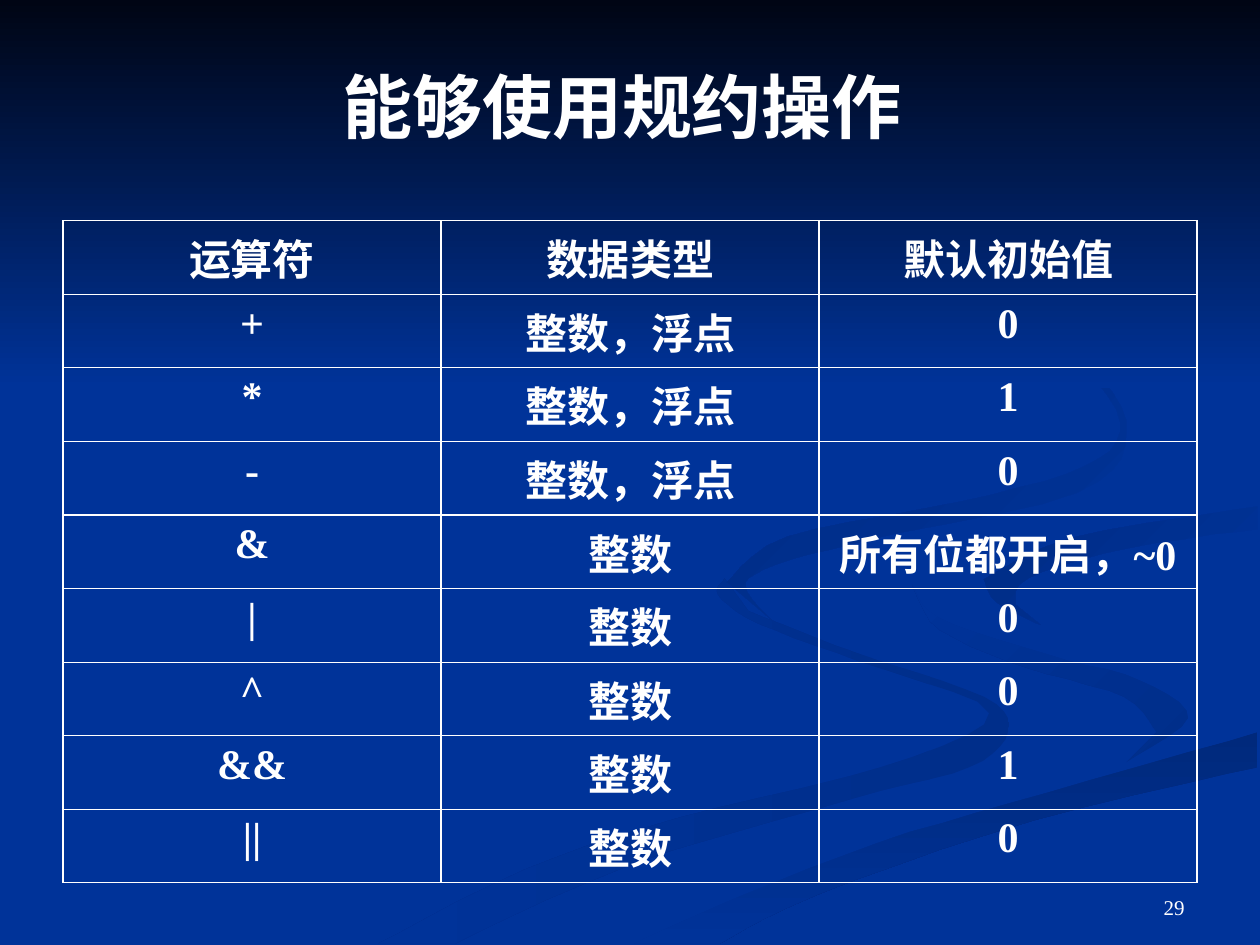
from dataclasses import dataclass

import pptx
import pptx.dml.color
import pptx.dml.fill
import pptx.enum.shapes
import pptx.enum.text
import pptx.oxml
import pptx.oxml.ns
import pptx.shapes.autoshape
import pptx.shapes.base
import pptx.slide
import pptx.table
import pptx.text.text
import pptx.util

Cm = pptx.util.Cm
RGBColor = pptx.dml.color.RGBColor
Align = pptx.enum.text.PP_ALIGN
Anchor = pptx.enum.text.MSO_ANCHOR
Edge = list[tuple[int, int]]

WHITE = RGBColor(0xFF, 0xFF, 0xFF)
BLUE = RGBColor(0x00, 0x33, 0x99)
NIGHT = RGBColor(0x00, 0x05, 0x14)
SHADE_SOFT = RGBColor(0x00, 0x2E, 0x8A)
SHADE_DEEP = RGBColor(0x00, 0x29, 0x7C)
SHADE_EDGE = RGBColor(0x00, 0x2C, 0x85)
SHADE_LOOP = RGBColor(0x00, 0x2B, 0x81)
FONT = "Times New Roman"
OUTLINE_UNIT = Cm(0.0254)
CURVE_STEPS = 5
HANGING = Cm(0.95)


@dataclass
class Ribbon:
    start_color: RGBColor
    end_color: RGBColor
    angle: int
    edges: list[Edge]


BEND_RIGHT = [(724, 464), (745, 490), (831, 519), (905, 540), (943, 570), (894, 605)]
SWEEP_TOP = [(503, 749), (569, 719), (696, 669), (831, 629), (998, 581)]

RIBBONS = [
    Ribbon(SHADE_SOFT, BLUE, 180, [
        [(300, 749), (417, 690), (539, 649), (699, 609), (785, 566), (682, 525), (602, 495),
         (570, 472), (575, 459)],
        [(594, 485), (682, 519), (781, 553), (800, 581), (769, 609), (676, 634), (499, 687),
         (361, 749)]]),
    Ribbon(SHADE_SOFT, BLUE, 135, [
        BEND_RIGHT, [(918, 581), (892, 553), (815, 530), (746, 500), (724, 464)]]),
    Ribbon(SHADE_DEEP, BLUE, 270, [
        SWEEP_TOP, [(998, 609), (821, 651), (649, 710), (571, 749)]]),
    Ribbon(BLUE, BLUE, 0, [
        BEND_RIGHT, [(743, 643), (619, 684), (477, 749)], SWEEP_TOP,
        [(998, 538), (866, 509), (786, 473), (786, 453), (850, 427), (998, 402)],
        [(998, 387), (874, 408), (755, 432), (724, 464)]]),
    Ribbon(BLUE, SHADE_EDGE, 135, [
        [(781, 460), (791, 478), (826, 496)],
        [(806, 480), (816, 459), (896, 435), (998, 420)],
        [(998, 402), (850, 427), (781, 460)]]),
    Ribbon(BLUE, SHADE_LOOP, 135, [
        [(762, 233), (864, 291), (894, 344), (855, 391), (683, 430), (606, 452), (593, 470),
         (622, 500)],
        [(577, 462), (625, 426), (763, 398), (861, 370), (889, 335), (846, 279), (762, 233)]]),
]

OPERATOR_ROWS = [
    ("运算符", "数据类型", "默认初始值"),
    ("+", "整数，浮点", "0"),
    ("*", "整数，浮点", "1"),
    ("-", "整数，浮点", "0"),
    ("&", "整数", "所有位都开启，~0"),
    ("|", "整数", "0"),
    ("^", "整数", "0"),
    ("&&", "整数", "1"),
    ("||", "整数", "0"),
]


def blend(before: int, start: int, end: int, after: int, t: float) -> int:
    bend = 2 * before - 5 * start + 4 * end - after
    twist = 3 * (start - end) + after - before
    return round(start + ((end - before) * t + bend * t ** 2 + twist * t ** 3) / 2)


def smooth_edge(edge: Edge) -> Edge:
    padded = [edge[0], *edge, edge[-1]]
    curve = []
    for corners in zip(padded, padded[1:], padded[2:], padded[3:]):
        across, down = zip(*corners)
        for step in range(CURVE_STEPS):
            t = step / CURVE_STEPS
            curve.append((blend(*across, t), blend(*down, t)))
    return [*curve, edge[-1]]


def fill_gradient(fill: pptx.dml.fill.FillFormat, start: RGBColor, end: RGBColor, angle: int) -> None:
    fill.gradient()
    fill.gradient_angle = angle
    for stop, color in zip(fill.gradient_stops, (start, end)):
        stop.color.rgb = color


def clear_outline(shape: pptx.shapes.autoshape.Shape) -> None:
    shape.shadow.inherit = False
    shape.line.fill.background()


def draw_ribbon(slide: pptx.slide.Slide, ribbon: Ribbon) -> None:
    first, *others = [point for edge in ribbon.edges for point in smooth_edge(edge)]
    builder = slide.shapes.build_freeform(*first, scale=OUTLINE_UNIT)
    builder.add_line_segments(others, close=True)
    shape = builder.convert_to_shape()
    clear_outline(shape)
    if ribbon.start_color == ribbon.end_color:
        shape.fill.solid()
        shape.fill.fore_color.rgb = ribbon.start_color
    else:
        fill_gradient(shape.fill, ribbon.start_color, ribbon.end_color, ribbon.angle)


def write_text(frame: pptx.text.text.TextFrame, text: str, size: int, bold: bool, align: Align) -> None:
    frame.text = text
    paragraph = frame.paragraphs[0]
    paragraph.alignment = align
    for run in paragraph.runs:
        run.font.name = FONT
        run.font.size = pptx.util.Pt(size)
        run.font.bold = bold
        run.font.color.rgb = WHITE


def place(shape: pptx.shapes.base.BaseShape, left: float, top: float, width: float, height: float) -> None:
    shape.left, shape.top, shape.width, shape.height = Cm(left), Cm(top), Cm(width), Cm(height)


def format_cell(cell: pptx.table._Cell, text: str) -> None:
    write_text(cell.text_frame, text, 24, True, Align.CENTER)
    properties = cell.text_frame.paragraphs[0]._p.get_or_add_pPr()
    properties.set("marL", str(HANGING))
    properties.set("indent", str(-HANGING))
    namespace = pptx.oxml.ns.nsdecls("a")
    for side in ("lnL", "lnR", "lnT", "lnB"):
        cell._tc.get_or_add_tcPr().append(pptx.oxml.parse_xml(
            f'<a:{side} {namespace} w="{pptx.util.Pt(0.75)}"><a:solidFill>'
            f'<a:srgbClr val="{WHITE}"/></a:solidFill></a:{side}>'))
    cell.fill.background()


def add_operator_table(slide: pptx.slide.Slide) -> None:
    frame = slide.shapes.add_table(
        len(OPERATOR_ROWS), len(OPERATOR_ROWS[0]), Cm(1.27), Cm(4.45), Cm(22.86), Cm(12.67))
    table = frame.table
    table.first_row = False
    table.horz_banding = False
    for row, texts in zip(table.rows, OPERATOR_ROWS):
        for cell, text in zip(row.cells, texts):
            format_cell(cell, text)


def main() -> None:
    presentation = pptx.Presentation()
    presentation.slide_width, presentation.slide_height = Cm(25.4), Cm(19.05)
    slide = presentation.slides.add_slide(presentation.slide_layouts[5])
    slide.background.fill.solid()
    slide.background.fill.fore_color.rgb = BLUE

    for ribbon in RIBBONS:
        draw_ribbon(slide, ribbon)
    sky = slide.shapes.add_shape(
        pptx.enum.shapes.MSO_SHAPE.RECTANGLE, 0, 0, presentation.slide_width, Cm(7.82))
    clear_outline(sky)
    fill_gradient(sky.fill, NIGHT, BLUE, 270)

    title = slide.shapes.title
    slide.shapes._spTree.append(title._element)
    place(title, 1.27, 0.53, 22.86, 3.18)
    title.text_frame.vertical_anchor = Anchor.MIDDLE
    write_text(title.text_frame, "能够使用规约操作 ", 40, True, Align.CENTER)

    add_operator_table(slide)

    page_number = slide.shapes.add_textbox(Cm(18.21), Cm(17.35), Cm(5.92), Cm(1.32))
    page_number.text_frame.word_wrap = True
    page_number.text_frame.vertical_anchor = Anchor.BOTTOM
    write_text(page_number.text_frame, "29", 12, False, Align.RIGHT)

    presentation.save("out.pptx")


if __name__ == "__main__":
    main()
